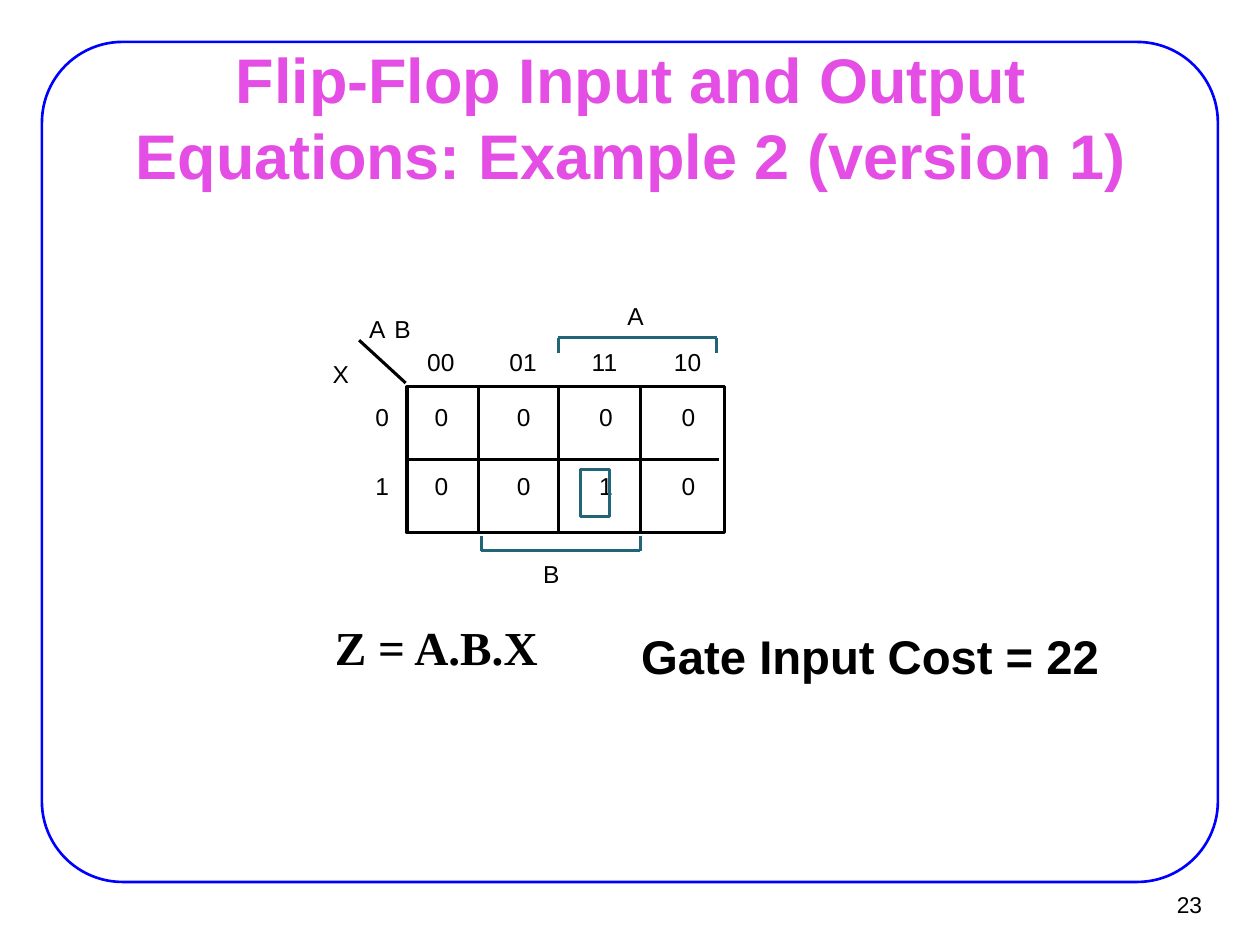
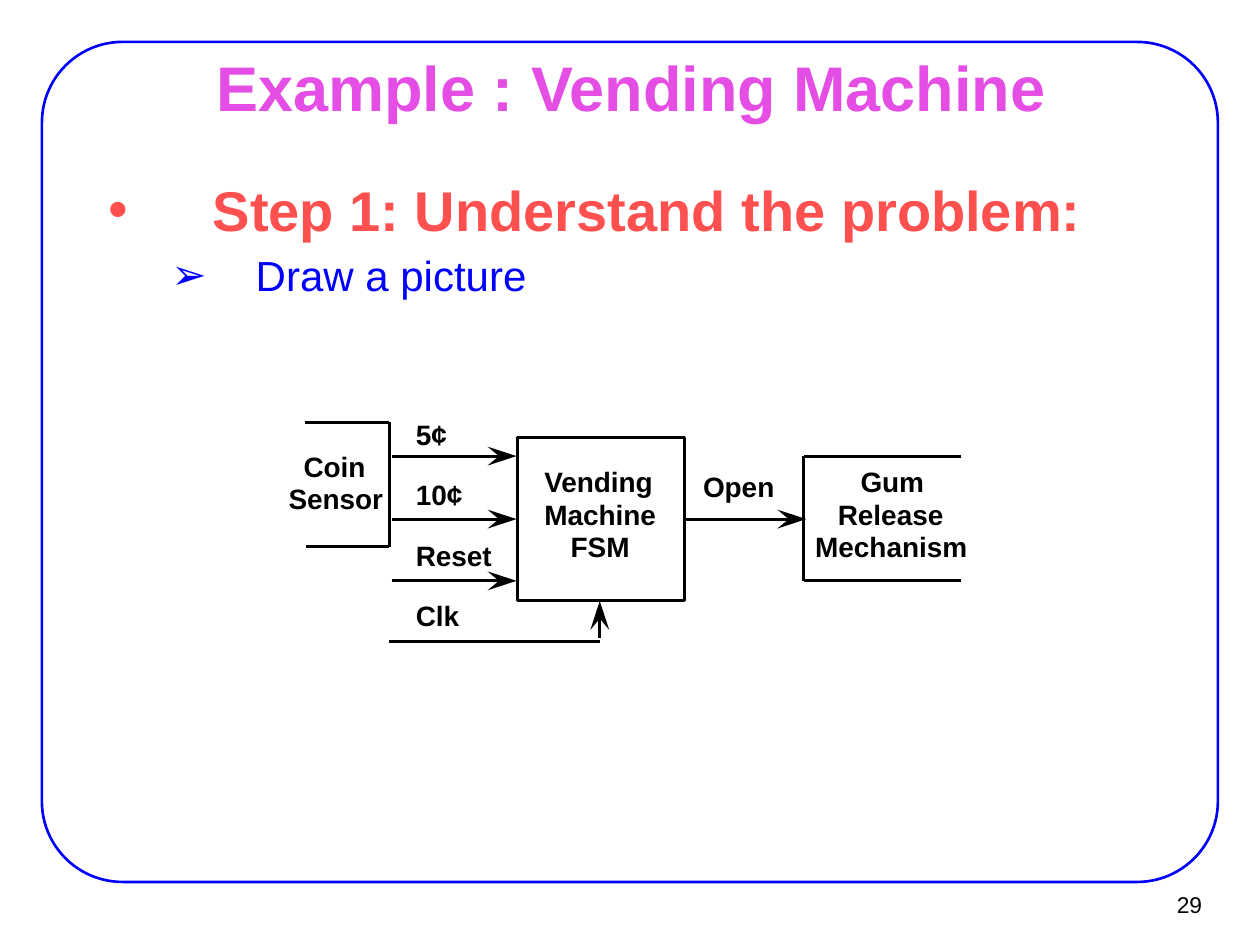
from dataclasses import dataclass

from lxml import etree
from pptx import Presentation, util as u
from pptx.dml.color import RGBColor
from pptx.enum import shapes, text
from pptx.oxml import ns


@dataclass(frozen=True)
class Theme:
    cols: int = 100
    sans: str = "Arial"
    serif: str = "Times New Roman"
    black: str = "000000"
    white: str = "FFFFFF"
    blue: str = "0000FF"
    pink: str = "E44EE4"
    red: str = "FF5050"
    teal: str = "226577"
    title: int = 36
    step: int = 32
    fact: int = 27
    task: int = 24
    block: int = 16
    cell: int = 14
    page: int = 13
    edge: float = 1.5
    rule: float = 1.75
    wire: float = 1.63


T = Theme()
deck = Presentation()
deck.slide_width, deck.slide_height = u.Inches(10), u.Inches(7.5)
UNIT = deck.slide_width / T.cols


def grid(n):
    return round(n * UNIT)


def ink(name):
    return RGBColor.from_string(name)


def put(par, words, size, tint=T.black, bold=False, face=T.sans):
    run = par.add_run()
    run.text = words
    font = run.font
    font.name, font.size, font.bold = face, u.Pt(size), bold
    font.color.rgb = ink(tint)


class Pane:
    def __init__(self, slide, left, top, wide, high):
        self.draw = slide.shapes
        self.left, self.top, self.wide, self.high = left, top, wide, high

    def spot(self, x, y):
        return grid(self.left + x), grid(self.top + y)

    def rect(self, x, y, w, h, tint, width, fill=None, kind=shapes.MSO_SHAPE.RECTANGLE):
        box = self.draw.add_shape(kind, *self.spot(x, y), grid(w), grid(h))
        box.shadow.inherit = False
        if fill:
            box.fill.solid()
            box.fill.fore_color.rgb = ink(fill)
        else:
            box.fill.background()
        box.line.color.rgb = ink(tint)
        box.line.width = u.Pt(width)
        return box

    def line(self, start, end, tint, width):
        link = self.draw.add_connector(
            shapes.MSO_CONNECTOR.STRAIGHT, *self.spot(*start), *self.spot(*end))
        link.line.color.rgb = ink(tint)
        link.line.width = u.Pt(width)
        etree.SubElement(link._element.spPr, ns.qn("a:effectLst"))
        return link

    def chain(self, spots, tint, width):
        for start, end in zip(spots, spots[1:]):
            self.line(start, end, tint, width)

    def tip(self, x, y, up=False):
        head = [(0, 0), (-2.3, 0.75), (-1.4, 0), (-2.3, -0.75)]
        if up:
            head = [(dy, -dx) for dx, dy in head]
        spots = [self.spot(x + dx, y + dy) for dx, dy in head]
        form = self.draw.build_freeform(*spots[0])
        form.add_line_segments(spots[1:], close=True)
        dart = form.convert_to_shape()
        dart.shadow.inherit = False
        dart.fill.solid()
        dart.fill.fore_color.rgb = ink(T.black)
        dart.line.fill.background()

    def area(self, x, y, w, h, pad=(0, 0), wrap=False, anchor=text.MSO_ANCHOR.TOP):
        box = self.draw.add_textbox(*self.spot(x, y), grid(w), grid(h))
        frame = box.text_frame
        frame.word_wrap, frame.vertical_anchor = wrap, anchor
        frame.margin_left = frame.margin_right = grid(pad[0])
        frame.margin_top = frame.margin_bottom = grid(pad[1])
        return frame

    def label(self, x, y, words, size, bold=False):
        frame = self.area(x, y, len(words) * size / 8, size / 6)
        put(frame.paragraphs[0], words, size, bold=bold)


def base(title, top, page):
    slide = deck.slides.add_slide(deck.slide_layouts[6])
    full = Pane(slide, 0, 0, T.cols, 75)
    rim = full.rect(3.33, 3.33, 93.33, 66.67, T.blue, T.edge,
                    kind=shapes.MSO_SHAPE.ROUNDED_RECTANGLE)
    rim.adjustments[0] = 0.096
    mid = text.MSO_ANCHOR.MIDDLE
    foot = full.area(90.2, 69.9, 6.1, 3.7, (0.9, 0.4), anchor=mid).paragraphs[0]
    foot.alignment = text.PP_ALIGN.RIGHT
    put(foot, page, T.page)
    head = full.area(7.6, top, 85, 4.9, (1.1, 0.6), True, mid).paragraphs[0]
    head.alignment = text.PP_ALIGN.CENTER
    put(head, title, T.title, T.pink, True)
    return slide


def kmap(pane):
    left, top, high = 5.9, 6.7, 11.6
    cuts = (11.6, 17.9, 24.4)
    box = pane.rect(left, top, 25.2, high, T.black, T.rule)
    row = pane.line((left, top + high / 2), (30.7, top + high / 2), T.black, T.rule)
    row.begin_connect(box, 1)
    for x in cuts:
        pane.line((x, top), (x, top + high), T.black, T.rule)
    pane.line((5.8, 6.4), (2.1, 3), T.black, T.rule)
    for x, end, lip, bar in ((11.8, 24.4, 18.5, 19.7), (17.9, 30.5, 4, 2.8)):
        pane.chain([(x, lip), (x, bar), (end, bar), (end, lip)], T.teal, T.rule)
    names = (("A", 2.9, 0.9), ("B", 4.9, 0.9), ("A", 23.4, -0.1),
             ("B", 16.7, 20.4), ("X", 0, 4.5))
    for name, x, y in names:
        pane.label(x, y, name, T.cell)
    gap = 6.53
    for i, code in enumerate(("00", "01", "11", "10")):
        pane.label(7.5 + gap * i, 3.5, code, T.cell)
    for j, (key, bits) in enumerate((("0", "0000"), ("1", "0010"))):
        y = 7.9 + 5.5 * j
        pane.label(3.4, y, key, T.cell)
        for i, bit in enumerate(bits):
            pane.label(8.1 + gap * i, y, bit, T.cell)
    pane.rect(19.7, 13.3, 2.3, 3.7, T.teal, T.rule)


def facts(pane):
    rows = ((0, 0, 37, "Z = A.B.X", T.serif),
            (24.3, 0.7, 38.4, "Gate Input Cost = 22", T.sans))
    for x, y, w, words, face in rows:
        frame = pane.area(x, y, w, pane.high, (1, 0.5))
        put(frame.paragraphs[0], words, T.fact, bold=True, face=face)


def steps(pane):
    frame = pane.area(0, 0, pane.wide, pane.high, (1.1, 0.6), True)
    rows = (("Step 1: Understand the problem:", "•", 8.3, 8.3, T.step, T.red, True),
            ("Draw a picture", "➢", 11.7, 6.7, T.task, T.blue, False))
    for i, (words, mark, left, hang, size, tint, bold) in enumerate(rows):
        par = frame.add_paragraph() if i else frame.paragraphs[0]
        if i:
            par.space_before = u.Pt(4)
            par.level = i
        props = par._p.get_or_add_pPr()
        props.set("marL", str(grid(left)))
        props.set("indent", str(-grid(hang)))
        etree.SubElement(props, ns.qn("a:buFont")).set("typeface", T.sans)
        etree.SubElement(props, ns.qn("a:buChar")).set("char", mark)
        put(par, words, size, tint, bold)


def vendor(pane):
    def wire(*spots):
        pane.chain(spots, T.black, T.wire)

    fsm = pane.rect(18.6, 1.7, 13.2, 13, T.black, T.wire, T.white)
    for y in (3.2, 8.2, 13.1):
        wire((8.6, y), (17.1, y))
        pane.tip(18.5, y)
    out = pane.line((31.8, 8.2), (40.1, 8.2), T.black, T.wire)
    out.begin_connect(fsm, 3)
    pane.tip(41.5, 8.2)
    wire((8.4, 17.9), (25.1, 17.9))
    wire((25.1, 17.6), (25.1, 16.1))
    pane.tip(25.1, 14.7, up=True)
    wire((1.7, 0.5), (8.4, 0.5), (8.4, 10.4), (1.8, 10.4))
    wire((53.8, 3.2), (41.3, 3.2), (41.3, 13.1), (53.8, 13.1))
    for i, name in enumerate(("5¢", "10¢", "Reset", "Clk")):
        pane.label(10.5, 0.1 + 4.8 * i, name, T.block, True)
    pane.label(33.3, 4.3, "Open", T.block, True)
    stacks = ((3.9, (("Vending", 20.7), ("Machine", 20.7), ("FSM", 22.8))),
              (3.9, (("Gum", 45.8), ("Release", 44), ("Mechanism", 42.2))),
              (2.7, (("Coin", 1.6), ("Sensor", 0.4))))
    for top, rows in stacks:
        for i, (name, x) in enumerate(rows):
            pane.label(x, top + 2.55 * i, name, T.block, True)


def main():
    slide = base("Flip-Flop Input and Output Equations: Example 2 (version 1)", 6.8, "23")
    kmap(Pane(slide, 26.4, 24, 32, 23))
    facts(Pane(slide, 25.6, 48.6, 63, 5.5))
    slide = base("Example : Vending Machine", 4.4, "29")
    steps(Pane(slide, 7.5, 13.3, 85, 50.8))
    vendor(Pane(slide, 22.5, 33, 55, 18))
    deck.save("out.pptx")


if __name__ == "__main__":
    main()
